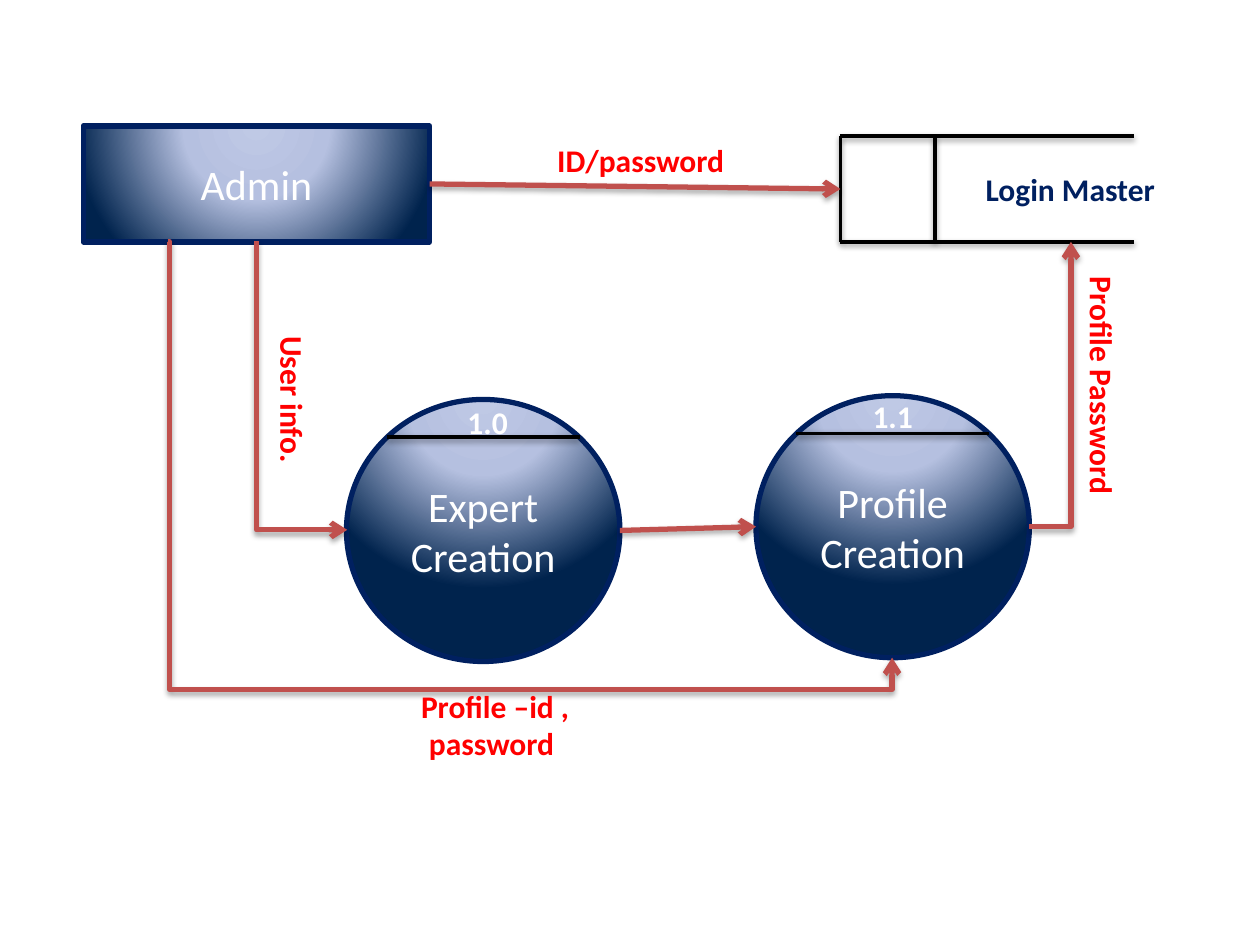
"""Draw the data flow diagram for administrator login and profile creation."""
from dataclasses import dataclass

from lxml import etree
from pptx import Presentation
from pptx.dml.color import RGBColor
from pptx.enum.shapes import MSO_CONNECTOR, MSO_SHAPE
from pptx.enum.text import MSO_ANCHOR, PP_ALIGN
from pptx.oxml import parse_xml
from pptx.oxml.ns import nsdecls, qn
from pptx.util import Inches, Pt

RECT, OVAL = MSO_SHAPE.RECTANGLE, MSO_SHAPE.OVAL
STRAIGHT, ELBOW = MSO_CONNECTOR.STRAIGHT, MSO_CONNECTOR.ELBOW
MIDDLE, CENTER = MSO_ANCHOR.MIDDLE, PP_ALIGN.CENTER


@dataclass(frozen=True)
class Theme:
    """Colours, font and sizes of the diagram."""
    font: str = "Calibri"
    navy: str = "002060"
    flow: str = "C0504D"
    label: str = "FF0000"
    white: str = "FFFFFF"
    black: str = "000000"
    stops: tuple = ((0, "BFC9E5"), (40, "B5C0E0"), (100, "00234D"))
    node_size: int = 24
    label_size: int = 18
    heavy: float = 3
    thin: float = 2


@dataclass(frozen=True)
class Node:
    """A filled shape with its caption."""
    text: str
    shape: int
    box: tuple


@dataclass(frozen=True)
class Label:
    """A bold text, with one paragraph per line."""
    text: str
    box: tuple
    color: str
    rotation: int = 0


@dataclass(frozen=True)
class Flow:
    """An arrow; a bent one names its preset, turn and adjustments."""
    start: tuple
    end: tuple
    preset: str = ""
    rotation: int = 0
    adjustments: tuple = ()


T = Theme()

NODES = (
    Node("Admin", RECT, (0.66, 1, 2.75, 0.92)),
    Node("Expert Creation", OVAL, (2.75, 3.17, 2.17, 2.08)),
    Node("Profile Creation", OVAL, (6, 3.14, 2.17, 2.08)),
)
RULES = (
    ((3.07, 3.47), (4.6, 3.47)),
    ((6.32, 3.44), (7.85, 3.44)),
    ((6.67, 1.08), (9, 1.08)),
    ((6.67, 1.08), (6.67, 1.92)),
    ((6.67, 1.92), (9, 1.92)),
    ((7.42, 1.08), (7.42, 1.92)),
)
FLOWS = (
    Flow((4.92, 4.21), (6, 4.18)),
    Flow((3.54, 2.7), (1.25, 3.42), "bentConnector2", 270),
    Flow((3.41, 1.46), (6.67, 1.5)),
    Flow((1.33, 1.92), (7.08, 5.22), "bentConnector4", 0, (300, 107600)),
    Flow((8.17, 4.18), (8.5, 1.92), "bentConnector2"),
)
LABELS = (
    Label("Login Master", (7.58, 1.25, 1.83, 0.5), T.navy),
    Label("1.0", (3.41, 3.25, 0.92, 0.19), T.white),
    Label("1.1", (6.42, 3.25, 1.33, 0.1), T.white),
    Label("Profile –id ,\npassword ", (2.03, 5.5, 3.8, 0.5), T.label),
    Label("Profile Password", (7.6, 2.81, 2.3, 0.5), T.label, 90),
    Label("ID/password", (3.75, 1.08, 2.67, 0.38), T.label),
    Label("User info.", (1.14, 2.88, 2.37, 0.58), T.label, 90),
)


def write(tf, text: str, *, size: float, color: str, bold: bool = False) -> None:
    """Fill a text frame with centred paragraphs."""
    tf.word_wrap = True
    tf.vertical_anchor = MIDDLE
    for i, line in enumerate(text.split("\n")):
        p = tf.add_paragraph() if i else tf.paragraphs[0]
        p.alignment = CENTER
        r = p.add_run()
        r.text = line
        r.font.name, r.font.size, r.font.bold = T.font, Pt(size), bold
        r.font.color.rgb = RGBColor.from_string(color)


def set_line(line, color: str, width: float) -> None:
    """Set the colour and width of a line."""
    line.color.rgb = RGBColor.from_string(color)
    line.width = Pt(width)


def radial_fill(sp) -> None:
    """Give a shape the radial gradient of the theme."""
    sp.fill.gradient()
    spPr = sp.element.spPr
    stops = "".join(
        f'<a:gs pos="{pos * 1000}"><a:srgbClr val="{color}"/></a:gs>'
        for pos, color in T.stops)
    spPr.replace(spPr.find(qn("a:gradFill")), parse_xml(
        f'<a:gradFill {nsdecls("a")} rotWithShape="1"><a:gsLst>{stops}</a:gsLst>'
        '<a:path path="circle"><a:fillToRect l="50000" t="-80000" r="50000"'
        ' b="180000"/></a:path></a:gradFill>'))


def add_node(s, node: Node) -> None:
    """Draw a process or entity."""
    sp = s.shapes.add_shape(node.shape, *map(Inches, node.box))
    sp.shadow.inherit = False
    radial_fill(sp)
    set_line(sp.line, T.navy, T.heavy)
    write(sp.text_frame, node.text, size=T.node_size, color=T.white)


def add_line(s, kind: int, start: tuple, end: tuple, *, color: str, width: float,
             distance: int, alpha: int):
    """Draw a connector with a soft shadow below it."""
    line = s.shapes.add_connector(kind, *map(Inches, start + end))
    set_line(line.line, color, width)
    line.element.spPr.append(parse_xml(
        f'<a:effectLst {nsdecls("a")}><a:outerShdw blurRad="40000"'
        f' dist="{distance}" dir="5400000" rotWithShape="0">'
        f'<a:srgbClr val="{T.black}"><a:alpha val="{alpha * 1000}"/></a:srgbClr>'
        '</a:outerShdw></a:effectLst>'))
    return line


def add_flow(s, flow: Flow) -> None:
    """Draw an arrow, bent when it names a preset."""
    line = add_line(s, ELBOW if flow.preset else STRAIGHT, flow.start, flow.end,
                    color=T.flow, width=T.heavy, distance=23000, alpha=35)
    spPr = line.element.spPr
    etree.SubElement(spPr.find(qn("a:ln")), qn("a:tailEnd"), type="arrow")
    if not flow.preset:
        return
    if flow.rotation:
        spPr.find(qn("a:xfrm")).set("rot", str(flow.rotation * 60000))
    geom = spPr.find(qn("a:prstGeom"))
    geom.set("prst", flow.preset)
    guides = geom.find(qn("a:avLst"))
    for i, value in enumerate(flow.adjustments, 1):
        etree.SubElement(guides, qn("a:gd"), name=f"adj{i}", fmla=f"val {value}")


def add_label(s, label: Label) -> None:
    """Draw a text label."""
    sp = s.shapes.add_textbox(*map(Inches, label.box))
    sp.rotation = label.rotation
    write(sp.text_frame, label.text, size=T.label_size, color=label.color, bold=True)


def main() -> None:
    """Build the slide and save it."""
    prs = Presentation()
    prs.slide_width, prs.slide_height = Inches(10), Inches(7.5)
    s = prs.slides.add_slide(prs.slide_layouts.get_by_name("Blank"))
    for node in NODES:
        add_node(s, node)
    for start, end in RULES:
        add_line(s, STRAIGHT, start, end, color=T.black, width=T.thin,
                 distance=20000, alpha=38)
    for flow in FLOWS:
        add_flow(s, flow)
    for label in LABELS:
        add_label(s, label)
    prs.save("out.pptx")


main()
